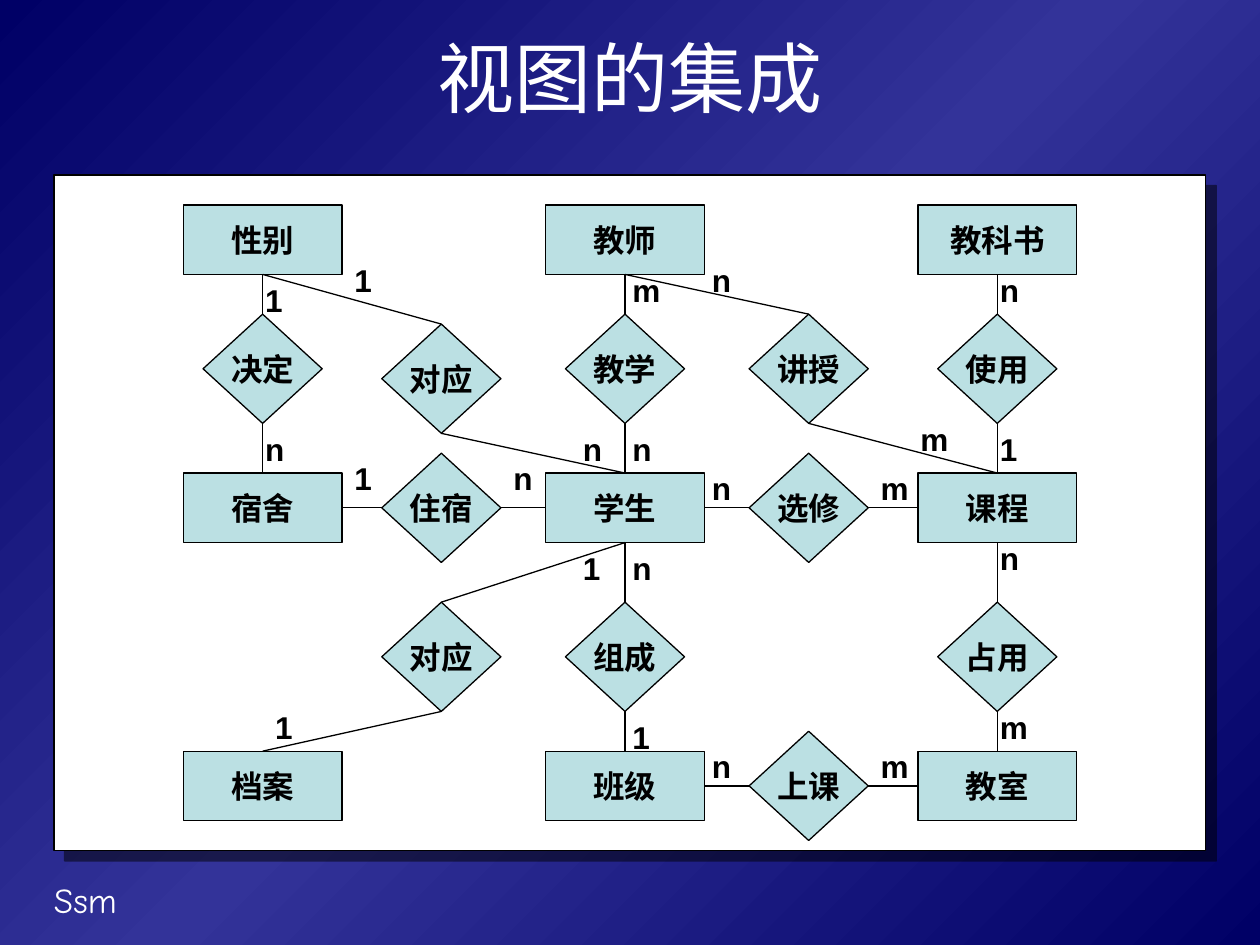
from collections import namedtuple
from copy import deepcopy

from lxml.etree import SubElement
from pptx import Presentation
from pptx.dml.color import RGBColor
from pptx.enum.shapes import MSO_CONNECTOR, MSO_SHAPE
from pptx.enum.text import MSO_ANCHOR, MSO_AUTO_SIZE, PP_ALIGN
from pptx.oxml import parse_xml
from pptx.oxml.ns import nsdecls, qn
from pptx.util import Inches, Pt

NAVY = RGBColor(0x00, 0x00, 0x66)
INDIGO = RGBColor(0x33, 0x33, 0x99)
PALE_TEAL = RGBColor(0xBB, 0xE0, 0xE3)
WHITE = RGBColor(0xFF, 0xFF, 0xFF)
BLACK = RGBColor(0x00, 0x00, 0x00)
CJK_FONT = "Noto Sans CJK SC"

Box = namedtuple("Box", "left top width height")
TITLE_BOX = Box(0.5, 0.17, 9, 0.87)
PANEL_BOX = Box(0.43, 1.39, 9.14, 5.36)
FOOTER_BOX = Box(0.33, 6.92, 2.08, 0.44)

# The panel is a fine grid; node centres sit on these columns and rows
GRID_COLUMNS, GRID_ROWS = 116, 68
COLUMN_CENTRES = (21, 39, 57.5, 76, 95)
ROW_CENTRES = (6.5, 19.5, 33.5, 48.5, 61.5)
ENTITY_SIZE = (16, 7)
RELATION_SIZE = (12, 11)
LABEL_SIZE = (5, 5)

# Nodes by (column, row): entities are where both are even
NODES = {
    (0, 0): "性别", (2, 0): "教师", (4, 0): "教科书",
    (0, 1): "决定", (1, 1): "对应", (2, 1): "教学", (3, 1): "讲授", (4, 1): "使用",
    (0, 2): "宿舍", (1, 2): "住宿", (2, 2): "学生", (3, 2): "选修", (4, 2): "课程",
    (1, 3): "对应", (2, 3): "组成", (4, 3): "占用",
    (0, 4): "档案", (2, 4): "班级", (3, 4): "上课", (4, 4): "教室",
}
ROW_SHIFT = {(1, 1): 1}

# Each chain is joined node by node, downwards or to the right
CHAINS = [
    [(0, 0), (0, 1), (0, 2), (1, 2), (2, 2), (3, 2), (4, 2), (4, 3), (4, 4)],
    [(0, 0), (1, 1), (2, 2), (1, 3), (0, 4)],
    [(2, 0), (2, 1), (2, 2), (2, 3), (2, 4), (3, 4), (4, 4)],
    [(2, 0), (3, 1), (4, 2)],
    [(4, 0), (4, 1), (4, 2)],
]

# Cardinalities with the grid places of their boxes
LABELS = {
    "1": [(29, 8), (20, 10), (29, 28), (52, 37), (21, 53), (57, 54), (94, 25)],
    "n": [(20, 25), (45, 28), (52, 25), (57, 25), (57, 37), (65, 8), (65, 29),
          (65, 57), (94, 9), (94, 36)],
    "m": [(57, 9), (86, 24), (82, 29), (82, 57), (94, 53)],
}


def inches(box):
    return [Inches(length) for length in box]


def grid_box(panel, column, row, size):
    unit_x, unit_y = panel.width / GRID_COLUMNS, panel.height / GRID_ROWS
    return Box(panel.left + column * unit_x, panel.top + row * unit_y,
               size[0] * unit_x, size[1] * unit_y)


def write(frame, text, size, color, font, bold=False, align=PP_ALIGN.LEFT):
    frame.text = text
    para = frame.paragraphs[0]
    para.alignment = align
    span = para.runs[0]
    span.font.size = Pt(size)
    span.font.bold = bold
    span.font.name = font
    span.font.color.rgb = color
    SubElement(span._r.get_or_add_rPr(), qn("a:ea"), typeface=CJK_FONT)


def add_text(page, box, text, size, color, font, bold=False):
    frame = page.shapes.add_textbox(*inches(box)).text_frame
    frame.word_wrap = True
    write(frame, text, size, color, font, bold)


def add_outlined(page, kind, box, color):
    shape = page.shapes.add_shape(kind, *inches(box))
    shape.shadow.inherit = False
    shape.fill.solid()
    shape.fill.fore_color.rgb = color
    shape.line.color.rgb = BLACK
    shape.line.width = Pt(0.75)
    return shape


def paint_background(page):
    fill = page.background.fill
    fill.gradient()
    fill.gradient_angle = 315
    first = fill.gradient_stops[0]._gs
    first.addnext(deepcopy(first))
    for stop, position, color in zip(fill.gradient_stops, (0, 0.5, 1),
                                     (NAVY, INDIGO, NAVY)):
        stop.position = position
        stop.color.rgb = color


def place_title(page, box):
    title = page.shapes.title
    title.left, title.top, title.width, title.height = inches(box)
    frame = title.text_frame
    frame.auto_size = MSO_AUTO_SIZE.NONE
    frame.vertical_anchor = MSO_ANCHOR.MIDDLE
    write(frame, "视图的集成", 44, WHITE, CJK_FONT, align=PP_ALIGN.CENTER)


def add_panel(page, box):
    panel = add_outlined(page, MSO_SHAPE.RECTANGLE, box, WHITE)
    effects = panel._element.spPr.find(qn("a:effectLst"))
    effects.append(parse_xml(
        f'<a:outerShdw {nsdecls("a")} dist="{Pt(8.5)}" dir="2700000" algn="ctr" '
        'rotWithShape="0"><a:srgbClr val="000000"><a:alpha val="50000"/>'
        '</a:srgbClr></a:outerShdw>'))


def add_node(page, panel, place, text):
    column, row = place
    is_entity = column % 2 == 0 and row % 2 == 0
    size = ENTITY_SIZE if is_entity else RELATION_SIZE
    kind = MSO_SHAPE.RECTANGLE if is_entity else MSO_SHAPE.DIAMOND
    box = grid_box(panel, COLUMN_CENTRES[column] - size[0] / 2,
                   ROW_CENTRES[row] + ROW_SHIFT.get(place, 0) - size[1] / 2, size)
    node = add_outlined(page, kind, box, PALE_TEAL)
    frame = node.text_frame
    frame.word_wrap = False
    frame.vertical_anchor = MSO_ANCHOR.MIDDLE
    write(frame, text, 18, BLACK, "Arial", True, PP_ALIGN.CENTER)
    return node


def join(page, start, start_side, end, end_side):
    line = page.shapes.add_connector(MSO_CONNECTOR.STRAIGHT, 0, 0, 0, 0)
    line.begin_connect(start, start_side)
    line.end_connect(end, end_side)
    line.line.color.rgb = BLACK
    line.line.width = Pt(0.75)
    SubElement(line._element.spPr, qn("a:effectLst"))


def add_diagram(page, panel):
    add_panel(page, panel)
    # Entities and relations
    nodes = {place: add_node(page, panel, place, text)
             for place, text in NODES.items()}
    # Links: right to left side in one row, else bottom to top
    for chain in CHAINS:
        for start, end in zip(chain, chain[1:]):
            sides = (3, 1) if start[1] == end[1] else (2, 0)
            join(page, nodes[start], sides[0], nodes[end], sides[1])
    # Cardinalities
    for text, places in LABELS.items():
        for column, row in places:
            box = grid_box(panel, column, row, LABEL_SIZE)
            add_text(page, box, text, 18, BLACK, "Arial", True)


def main():
    deck = Presentation()
    deck.slide_width, deck.slide_height = Inches(10), Inches(7.5)
    page = deck.slides.add_slide(deck.slide_layouts[5])
    paint_background(page)
    place_title(page, TITLE_BOX)
    add_diagram(page, PANEL_BOX)
    add_text(page, FOOTER_BOX, "Ssm", 20, WHITE, "Comic Neue")
    deck.save("out.pptx")


if __name__ == "__main__":
    main()
